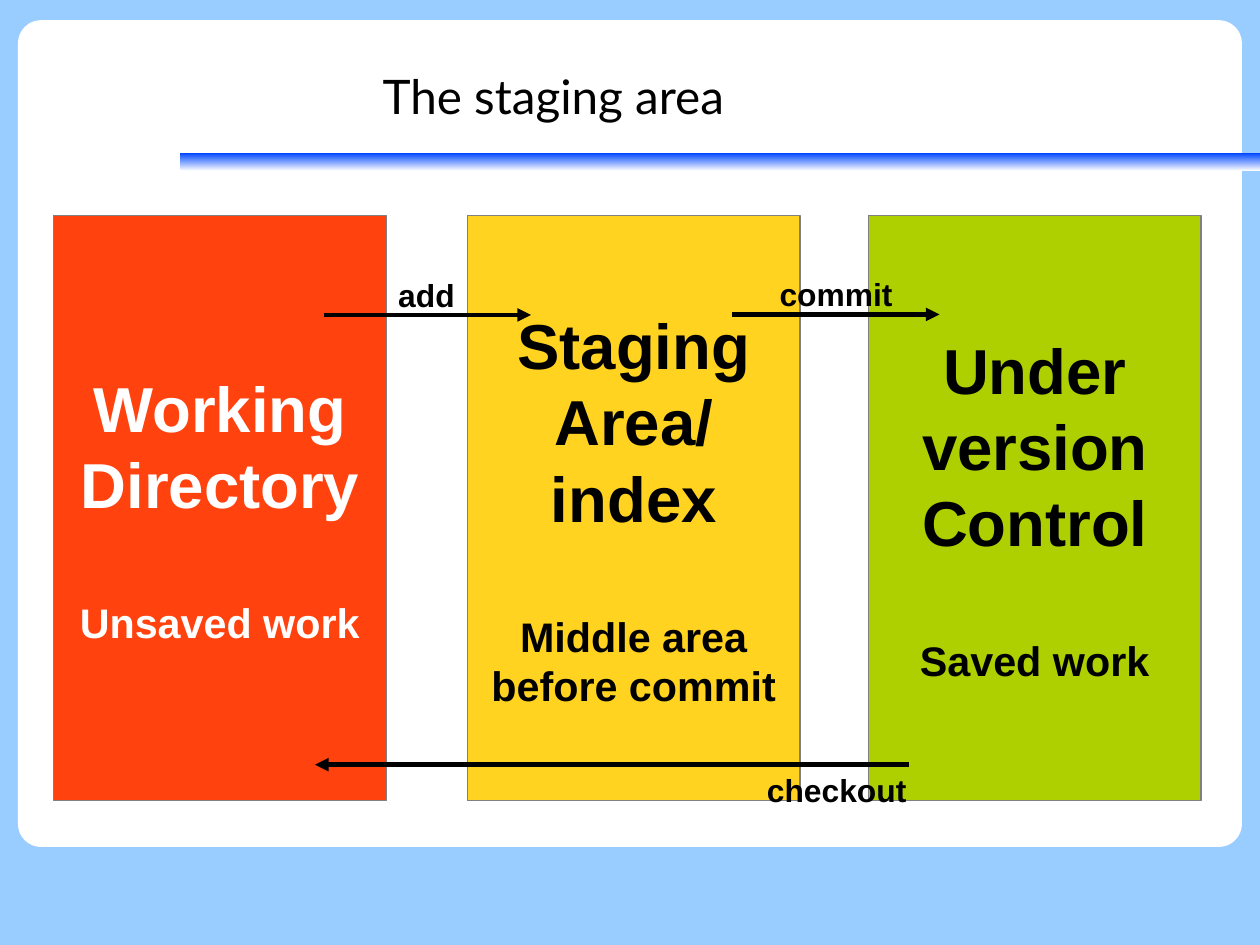
from lxml.etree import SubElement
from pptx import Presentation
from pptx.dml.color import RGBColor
from pptx.enum.shapes import MSO_CONNECTOR as Line, MSO_SHAPE as Shape
from pptx.enum.text import MSO_ANCHOR as Anchor, MSO_AUTO_SIZE as AutoSize, PP_ALIGN as Align
from pptx.oxml.ns import qn
from pptx.util import Pt

TITLE = "The staging area"
AREA_TOP, AREA_WIDTH, AREA_HEIGHT = 135.8, 209.5, 368.5
# left, fill, text colour, name lines, note lines
AREAS = [
    (33.8, "FF420E", "FFFFFF", ["Working", "Directory"], ["Unsaved work"]),
    (547.1, "AECF00", "000000", ["Under", "version", "Control"], ["Saved work"]),
    (294.5, "FFD320", "000000", ["Staging", "Area/", "index"],
     ["Middle area", "before commit"]),
]
# command, arrow start x, arrow end x, arrow y, label left, top and width
COMMANDS = [
    ("add", 203.8, 334.5, 198.4, 243.8, 169.9, 50.5),
    ("commit", 461.3, 591.8, 198.1, 484, 169.6, 85.7),
    ("checkout", 572.4, 198.5, 481.7, 476, 481.7, 102.2),
]
NAME_SIZE, NOTE_SIZE, LABEL_SIZE, TITLE_SIZE = 40, 26, 20, 30
NOTE_GAP = 48


def color(value):
    return RGBColor.from_string(value)


def set_font(para, name, size, value, bold):
    font = para.font
    font.name, font.size, font.bold = name, Pt(size), bold
    font.color.rgb = color(value)


def add_box(page, kind, left, top, width, height):
    """Add a preset shape without shadow or outline."""
    box = page.shapes.add_shape(kind, Pt(left), Pt(top), Pt(width), Pt(height))
    box.shadow.inherit = False
    box.line.fill.background()
    return box


def add_backdrop(page):
    page.background.fill.solid()
    page.background.fill.fore_color.rgb = color("99CCFF")
    panel = add_box(page, Shape.ROUNDED_RECTANGLE, 11.3, 12.7, 771, 520.8)
    panel.adjustments[0] = 0.028
    panel.fill.solid()
    panel.fill.fore_color.rgb = color("FFFFFF")
    bar = add_box(page, Shape.RECTANGLE, 113.4, 96.4, 680.3, 11.3)
    bar.fill.gradient()
    bar.fill.gradient_angle = 90
    for stop, value in zip(bar.fill.gradient_stops, ("FFFFFF", "0047FF")):
        stop.color.rgb = color(value)


def add_title(page):
    title = page.shapes.title
    page.shapes._spTree.append(title._element)  # in front of the panel
    title.left, title.top, title.width, title.height = map(Pt, (39.7, 23.8, 617.8, 72.7))
    frame = title.text_frame
    frame.text = TITLE
    frame.vertical_anchor = Anchor.MIDDLE
    frame.margin_left = frame.margin_right = frame.margin_top = frame.margin_bottom = 0
    para = frame.paragraphs[0]
    para.alignment = Align.CENTER
    set_font(para, "Lato", TITLE_SIZE, "000000", False)


def add_area(page, left, fill, text_color, names, notes):
    box = add_box(page, Shape.RECTANGLE, left, AREA_TOP, AREA_WIDTH, AREA_HEIGHT)
    box.fill.solid()
    box.fill.fore_color.rgb = color(fill)
    box.line.color.rgb = color("808080")
    box.line.width = Pt(0)
    frame = box.text_frame
    frame.word_wrap = False
    frame.vertical_anchor = Anchor.MIDDLE
    frame.text = "\n".join(names + notes)
    for index, para in enumerate(frame.paragraphs):
        size = NAME_SIZE if index < len(names) else NOTE_SIZE
        para.alignment = Align.CENTER
        set_font(para, "Arial", size, text_color, True)
    frame.paragraphs[len(names)].space_before = Pt(NOTE_GAP)


def add_command(page, command, start, end, y, left, top, width):
    arrow = page.shapes.add_connector(Line.STRAIGHT, Pt(start), Pt(y), Pt(end), Pt(y))
    arrow.line.color.rgb = color("000000")
    arrow.line.width = Pt(2.83)
    SubElement(arrow.line._get_or_add_ln(), qn("a:tailEnd"), type="triangle")
    SubElement(arrow._element.spPr, qn("a:effectLst"))
    label = page.shapes.add_textbox(Pt(left), Pt(top), Pt(width), Pt(29.5))
    frame = label.text_frame
    frame.word_wrap = False
    frame.auto_size = AutoSize.SHAPE_TO_FIT_TEXT
    frame.text = command
    set_font(frame.paragraphs[0], "Arial", LABEL_SIZE, "000000", True)


def main():
    deck = Presentation()
    deck.slide_width, deck.slide_height = Pt(793.7), Pt(595.28)
    page = deck.slides.add_slide(deck.slide_layouts[5])
    add_backdrop(page)
    add_title(page)
    for area in AREAS:
        add_area(page, *area)
    for command in COMMANDS:
        add_command(page, *command)
    deck.save("out.pptx")


if __name__ == "__main__":
    main()
